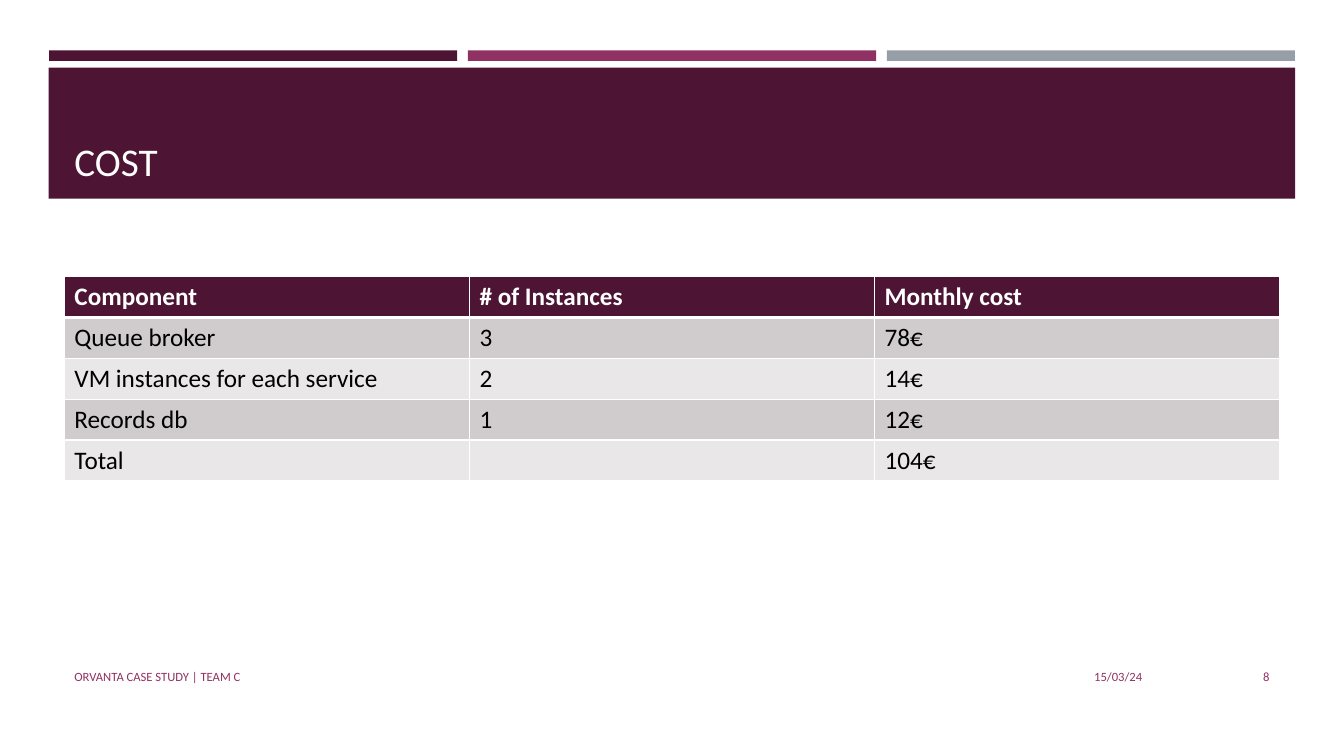
"""Build the monthly cost slide with its banner, table and footer."""
from lxml.etree import SubElement
from pptx import Presentation
from pptx.dml.color import RGBColor
from pptx.enum.shapes import MSO_SHAPE
from pptx.enum.text import MSO_ANCHOR, MSO_AUTO_SIZE, PP_ALIGN
from pptx.oxml.ns import qn
from pptx.util import Pt

PLUM = RGBColor(0x4D, 0x14, 0x34)
MAGENTA = RGBColor(0x90, 0x31, 0x63)
GREY = RGBColor(0x96, 0x9F, 0xA7)
BAND_DARK = RGBColor(0xD0, 0xCC, 0xCE)
BAND_LIGHT = RGBColor(0xE9, 0xE7, 0xE8)
WHITE = RGBColor(0xFF, 0xFF, 0xFF)
BLACK = RGBColor(0, 0, 0)
LEFT, WIDTH = 46, 868


def style_text(tf, size, color, bold=False, align=PP_ALIGN.LEFT):
    for p in tf.paragraphs:
        p.alignment = align
        p.font.size = Pt(size)
        for r in p.runs:
            r.font.name = "Calibri"
            r.font.size = Pt(size)
            r.font.bold = bold
            r.font.color.rgb = color


def add_border(cell, side, width):
    ln = SubElement(cell._tc.get_or_add_tcPr(), qn(f"a:{side}"), w=str(Pt(width)))
    fill = SubElement(ln, qn("a:solidFill"))
    SubElement(fill, qn("a:srgbClr"), val=str(WHITE))


prs = Presentation()
prs.slide_width, prs.slide_height = Pt(960), Pt(540)
s = prs.slides.add_slide(prs.slide_layouts[5])

bars = [(35 + i * 299.2, 36, 291.6, 7.5, color) for i, color in enumerate((PLUM, MAGENTA, GREY))]
for x, y, w, h, color in bars + [(34.8, 48.4, 890.4, 93.6, PLUM)]:
    sp = s.shapes.add_shape(MSO_SHAPE.RECTANGLE, Pt(x), Pt(y), Pt(w), Pt(h))
    sp.shadow.inherit = False
    sp.fill.solid()
    sp.fill.fore_color.rgb = color
    sp.line.fill.background()

title = s.shapes.title
title.left, title.top, title.width, title.height = Pt(LEFT), Pt(55.5), Pt(WIDTH), Pt(80)
s.shapes._spTree.append(title._element)
tf = title.text_frame
tf.text = "COST"
tf.auto_size = MSO_AUTO_SIZE.NONE
tf.vertical_anchor = MSO_ANCHOR.BOTTOM
style_text(tf, 28, WHITE)

rows = [
    ("Component", "# of Instances", "Monthly cost"),
    ("Queue broker", "3", "78€"),
    ("VM instances for each service", "2", "14€"),
    ("Records db", "1", "12€"),
    ("Total", "", "104€"),
]
table = s.shapes.add_table(len(rows), 3, Pt(LEFT), Pt(197.5), Pt(WIDTH), Pt(146)).table
for i, row in enumerate(rows):
    header = i == 0
    for j, text in enumerate(row):
        cell = table.cell(i, j)
        cell.text = text
        style_text(cell.text_frame, 18, WHITE if header else BLACK, header)
        add_border(cell, "lnL", 1)
        add_border(cell, "lnR", 1)
        add_border(cell, "lnT", 3 if i == 1 else 1)
        add_border(cell, "lnB", 3 if header else 1)
        cell.fill.solid()
        cell.fill.fore_color.rgb = PLUM if header else BAND_DARK if i % 2 else BAND_LIGHT

footers = [
    ("15/03/24", 599, 224, PP_ALIGN.RIGHT),
    ("ORVANTA CASE STUDY | TEAM C", LEFT, 544, PP_ALIGN.LEFT),
    ("8", 831.5, 82.5, PP_ALIGN.RIGHT),
]
for text, x, w, align in footers:
    tf = s.shapes.add_textbox(Pt(x), Pt(469), Pt(w), Pt(28.8)).text_frame
    tf.word_wrap = True
    tf.vertical_anchor = MSO_ANCHOR.MIDDLE
    tf.text = text
    style_text(tf, 9, MAGENTA, align=align)

prs.save("out.pptx")
